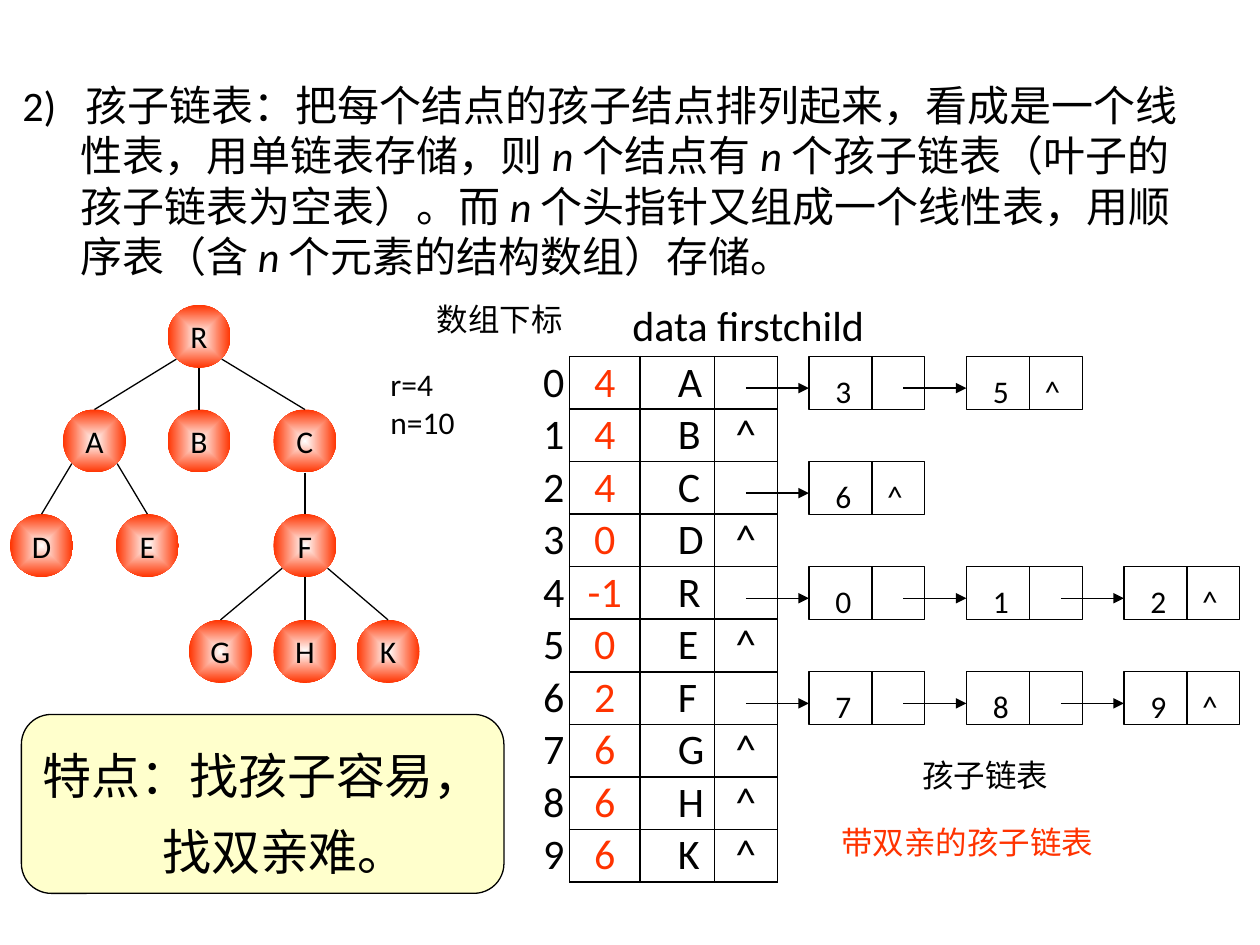
from dataclasses import dataclass

from lxml.etree import SubElement
from pptx import Presentation
from pptx.dml.color import RGBColor
from pptx.enum.shapes import MSO_CONNECTOR, MSO_SHAPE
from pptx.enum.text import MSO_ANCHOR, PP_ALIGN
from pptx.oxml import parse_xml
from pptx.oxml.ns import nsdecls, qn
from pptx.util import Inches, Pt

BLACK = RGBColor(0x00, 0x00, 0x00)
RED = RGBColor(0xFF, 0x33, 0x00)
CREAM = RGBColor(0xFF, 0xFF, 0xCC)
LATIN, CHINESE = "Calibri", "Noto Sans CJK SC"

TABLE_TOP, ROW_HEIGHT = 2.83, 0.417
COLUMN_WIDTHS = (0.3, 0.56, 0.59, 0.5)
NODE_WIDTH, NODE_STEP, NODE_LEFT = 0.92, 1.25, 6.42
CIRCLE = 0.5


@dataclass
class Label:
    text: str
    left: float
    top: float
    width: float
    height: float
    size: int = 18
    font: str = LATIN
    color: RGBColor = BLACK


@dataclass
class TreeNode:
    name: str
    left: float
    top: float
    parent: str = ""
    side: int = 0  # where the branch leaves the parent: -1 left, 0 middle, 1 right


LABELS = [
    Label("data firstchild", 4.92, 2.33, 2.39, 0.5, size=24),
    Label("数组下标", 3.37, 2.33, 1.63, 0.5),
    Label("r=4\nn=10", 3, 2.85, 0.99, 0.9),
    Label("孩子链表", 7.22, 5.95, 1.64, 0.5, font=CHINESE),
    Label("带双亲的孩子链表", 6.58, 6.48, 2.98, 0.5, font=CHINESE, color=RED),
]
TREE = [
    TreeNode("R", 1.33, 2.42),
    TreeNode("A", 0.5, 3.25, "R", -1),
    TreeNode("B", 1.33, 3.25, "R"),
    TreeNode("C", 2.17, 3.25, "R", 1),
    TreeNode("D", 0.08, 4.08, "A", -1),
    TreeNode("E", 0.92, 4.08, "A", 1),
    TreeNode("F", 2.17, 4.08, "C"),
    TreeNode("G", 1.5, 4.92, "F", -1),
    TreeNode("H", 2.17, 4.92, "F"),
    TreeNode("K", 2.83, 4.92, "F", 1),
]
PARENTS = ("4", "4", "4", "0", "-1", "0", "2", "6", "6", "6")
CHILDREN = {0: "35", 2: "6", 4: "012", 6: "789"}
INTRODUCTION = (
    "孩子链表：把每个结点的孩子结点排列起来，看成是一个线\n"
    "性表，用单链表存储，则 *n *个结点有 *n *个孩子链表（叶子的\n"
    "孩子链表为空表）。而 *n *个头指针又组成一个线性表，用顺\n"
    "序表（含 *n *个元素的结构数组）存储。"
)


def write_text(frame, text, *, size=18, font=LATIN, color=BLACK, align=PP_ALIGN.LEFT,
               spacing=None, margins=(0.1, 0.05, 0.1, 0.05), wrap=True):
    """Fill a text frame, one paragraph a line; parts between asterisks are italic."""
    frame.word_wrap = wrap
    (frame.margin_left, frame.margin_top,
     frame.margin_right, frame.margin_bottom) = map(Inches, margins)
    for number, line in enumerate(text.split("\n")):
        paragraph = frame.paragraphs[0] if number == 0 else frame.add_paragraph()
        paragraph.alignment = align
        if spacing:
            paragraph.line_spacing = spacing
        for position, part in enumerate(line.split("*")):
            run = paragraph.add_run()
            run.text = part
            run.font.size = Pt(size)
            run.font.italic = position % 2 == 1
            run.font.color.rgb = color
            run.font.name = font
            SubElement(run._r.get_or_add_rPr(), qn("a:ea"), typeface=font)


def add_label(slide, label: Label):
    box = slide.shapes.add_textbox(*map(Inches, (label.left, label.top, label.width, label.height)))
    write_text(box.text_frame, label.text, size=label.size, font=label.font, color=label.color)
    return box


def add_line(slide, start: tuple, end: tuple, arrow: bool = False):
    line = slide.shapes.add_connector(MSO_CONNECTOR.STRAIGHT, *map(Inches, start + end))
    line.line.color.rgb = BLACK
    line.line.width = Pt(0.75)
    if arrow:
        SubElement(line.line._get_or_add_ln(), qn("a:tailEnd"), type="triangle")
    SubElement(line._element.spPr, qn("a:effectLst"))
    return line


def add_box(slide, kind, left: float, top: float, width: float, height: float, fill=None):
    shape = slide.shapes.add_shape(kind, *map(Inches, (left, top, width, height)))
    shape.shadow.inherit = False
    shape.fill.background()
    if fill is not None:
        shape.fill.solid()
        shape.fill.fore_color.rgb = fill
    shape.line.color.rgb = BLACK
    shape.line.width = Pt(0.75)
    shape.text_frame.vertical_anchor = MSO_ANCHOR.MIDDLE
    return shape


def add_introduction(slide):
    box = add_label(slide, Label(INTRODUCTION, 0.08, 0.58, 9.84, 1.67, size=24))
    for number, paragraph in enumerate(box.text_frame.paragraphs):
        properties = paragraph._p.get_or_add_pPr()
        properties.set("marL", str(Inches(0.46 if number else 0.5)))
        properties.set("indent", str(0 if number else Inches(-0.5)))
        if number == 0:
            SubElement(properties, qn("a:buFont"), typeface=LATIN)
            SubElement(properties, qn("a:buAutoNum"), type="arabicParenR", startAt="2")


def set_borders(cell, widths: dict):
    properties = cell._tc.get_or_add_tcPr()
    for position, side in enumerate("LRTB"):
        width = widths.get(side, 0)
        fill = '<a:solidFill><a:srgbClr val="000000"/></a:solidFill>' if width else "<a:noFill/>"
        properties.insert(position, parse_xml(
            f'<a:ln{side} {nsdecls("a")} w="{Pt(width)}">{fill}</a:ln{side}>'))


def add_array(slide):
    rows, columns = len(PARENTS), len(COLUMN_WIDTHS)
    table = slide.shapes.add_table(
        rows, columns, Inches(4.22), Inches(TABLE_TOP),
        Inches(sum(COLUMN_WIDTHS)), Inches(rows * ROW_HEIGHT)).table
    table.first_row = table.horz_banding = False
    for column, width in zip(table.columns, COLUMN_WIDTHS):
        column.width = Inches(width)
    for row, (parent, name) in enumerate(zip(PARENTS, "ABCDREFGHK")):
        table.rows[row].height = Inches(ROW_HEIGHT)
        values = (str(row), parent, name, "" if row in CHILDREN else "^")
        for column, value in enumerate(values):
            cell = table.cell(row, column)
            cell.fill.background()
            cell.vertical_anchor = MSO_ANCHOR.MIDDLE
            cell.margin_top = cell.margin_bottom = cell.margin_right = 0
            cell.margin_left = Inches((0.09, 0, 0.3, 0)[column])
            set_borders(cell, dict.fromkeys("LRTB", 1) if column else {"R": 1})
            frame = cell.text_frame
            write_text(frame, value, size=24, color=RED if column == 1 else BLACK,
                       align=PP_ALIGN.CENTER if column in (1, 3) else PP_ALIGN.LEFT,
                       margins=(0, 0, 0, 0))


def add_chain(slide, row: int, children: str):
    top = TABLE_TOP + row * ROW_HEIGHT
    for position, child in enumerate(children):
        left = NODE_LEFT + position * NODE_STEP
        is_last = position == len(children) - 1
        node = add_box(slide, MSO_SHAPE.RECTANGLE, left, top, NODE_WIDTH, 0.42)
        write_text(node.text_frame, child + ("\t^" if is_last else ""),
                   margins=(0.21, 0.12, 0, 0))
        tabs = SubElement(node.text_frame.paragraphs[0]._p.get_or_add_pPr(), qn("a:tabLst"))
        SubElement(tabs, qn("a:tab"), pos=str(Inches(0.41)), algn="l")
        add_line(slide, (left + 0.5, top), (left + 0.5, top + 0.42))
        add_line(slide, (left - 0.5, top + 0.25), (left, top + 0.25), arrow=True)


def add_tree(slide):
    circles = {}
    for node in TREE:
        circle = add_box(slide, MSO_SHAPE.OVAL, node.left, node.top, CIRCLE, CIRCLE)
        circle.line.fill.background()
        properties = circle._element.spPr
        properties.replace(properties.find(qn("a:noFill")), parse_xml(
            f'<a:gradFill {nsdecls("a")}><a:gsLst>'
            f'<a:gs pos="0"><a:srgbClr val="FFFFFF"/></a:gs>'
            f'<a:gs pos="100000"><a:srgbClr val="{RED}"/></a:gs></a:gsLst>'
            '<a:path path="shape"><a:fillToRect l="50000" t="50000" r="50000" b="50000"/>'
            '</a:path></a:gradFill>'))
        write_text(circle.text_frame, node.name, align=PP_ALIGN.CENTER,
                   margins=(0, 0, 0, 0), wrap=False)
        circles[node.name] = (node, circle)
    # Branches run from the lower edge of the parent to the top of the child
    for node, circle in circles.values():
        if node.parent:
            parent = circles[node.parent][0]
            center = parent.left + CIRCLE / 2
            drop = 0.43 if node.side else CIRCLE
            branch = add_line(slide, (center + node.side * 0.18, parent.top + drop),
                              (node.left + CIRCLE / 2, node.top))
            branch.end_connect(circle, 0)


def add_summary(slide):
    box = add_box(slide, MSO_SHAPE.ROUNDED_RECTANGLE, 0.17, 5.67, 3.83, 1.42, fill=CREAM)
    write_text(box.text_frame, "特点：找孩子容易，\n找双亲难。", size=28, font="Arial",
               spacing=1.3, wrap=False)
    box.text_frame.paragraphs[1]._p.get_or_add_pPr().set("marL", str(Inches(0.95)))


def main():
    presentation = Presentation()
    presentation.slide_width, presentation.slide_height = Inches(10), Inches(7.5)
    slide = presentation.slides.add_slide(presentation.slide_layouts[6])
    add_introduction(slide)
    add_array(slide)
    for row, children in CHILDREN.items():
        add_chain(slide, row, children)
    add_summary(slide)
    add_tree(slide)
    for label in LABELS:
        add_label(slide, label)
    presentation.save("out.pptx")


if __name__ == "__main__":
    main()
